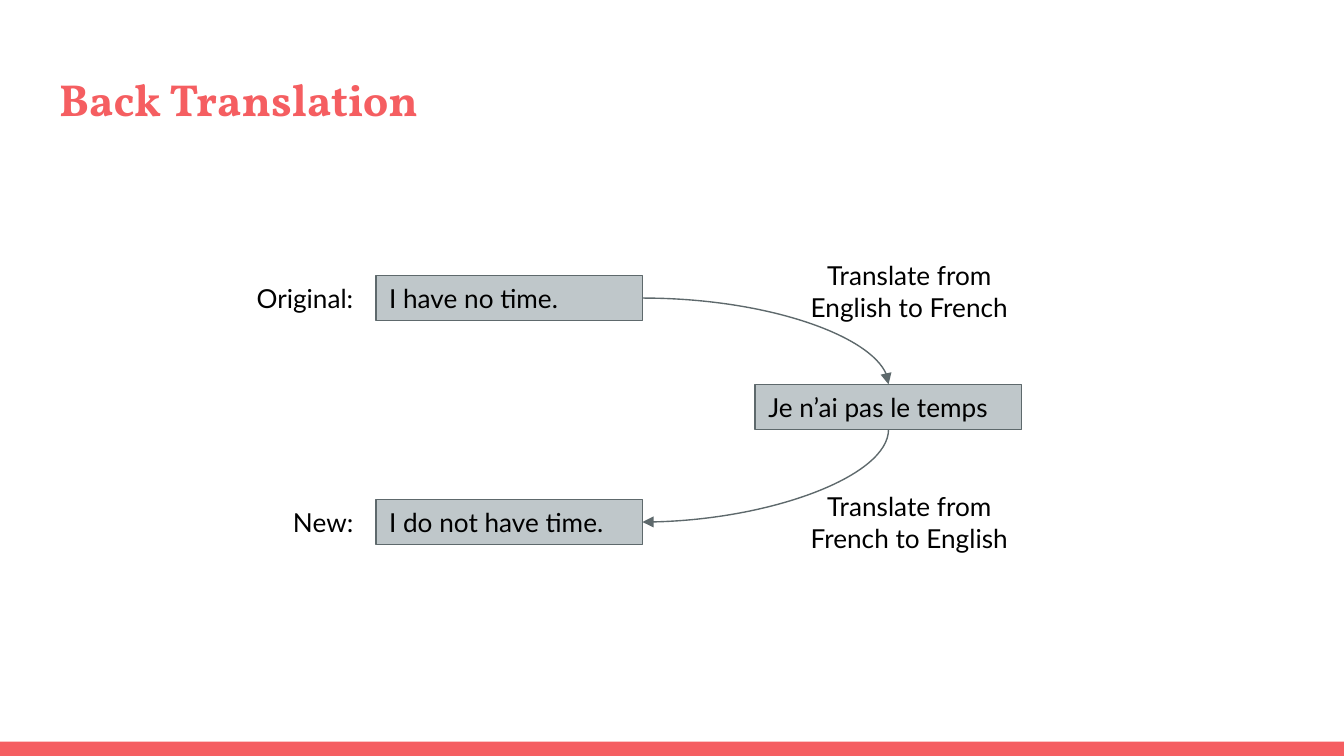
from dataclasses import dataclass

from lxml.etree import SubElement
from pptx import Presentation
from pptx.dml.color import RGBColor as RGB
from pptx.enum.shapes import MSO_CONNECTOR as Link, MSO_SHAPE as Shape
from pptx.enum.text import MSO_ANCHOR as Anchor, PP_ALIGN as Align
from pptx.oxml.ns import qn
from pptx.util import Pt


@dataclass(frozen=True)
class Theme:
    accent: RGB = RGB(0xF5, 0x5E, 0x61)
    fill: RGB = RGB(0xBF, 0xC7, 0xCA)
    line: RGB = RGB(0x5E, 0x69, 0x6C)
    ink: RGB = RGB(0, 0, 0)
    heading_font: str = "Vollkorn"
    body_font: str = "Lato"
    heading_size: int = 24
    body_size: int = 14
    line_width: float = 0.75
    inset: float = 7.2


theme = Theme()


def write(shape, text, align, anchor=Anchor.MIDDLE, heading=False):
    frame = shape.text_frame
    frame.text = text
    frame.word_wrap = True
    frame.vertical_anchor = anchor
    frame.margin_left = frame.margin_right = Pt(theme.inset)
    frame.margin_top = frame.margin_bottom = Pt(theme.inset)
    paragraph = frame.paragraphs[0]
    paragraph.alignment = align
    font = paragraph.runs[0].font
    font.name = theme.heading_font if heading else theme.body_font
    font.size = Pt(theme.heading_size if heading else theme.body_size)
    font.color.rgb = theme.accent if heading else theme.ink
    font.bold = heading


def add_block(left, top, width, height, fill):
    block = slide.shapes.add_shape(Shape.RECTANGLE, Pt(left), Pt(top), Pt(width), Pt(height))
    block.shadow.inherit = False
    block.fill.solid()
    block.fill.fore_color.rgb = fill
    block.line.fill.background()
    return block


deck = Presentation()
deck.slide_width, deck.slide_height = Pt(720), Pt(405)
slide = deck.slides.add_slide(deck.slide_layouts[5])

add_block(0, 397.3, 720, 7.7, theme.accent)

title = slide.shapes.title
title.left, title.top, title.width, title.height = Pt(24.5), Pt(31), Pt(671), Pt(49)
write(title, "Back Translation", Align.LEFT, Anchor.TOP, heading=True)

box_width, box_height = 142.8, 24.2
sentences = []
for text, left, middle in [
    ("I have no time.", 201.4, 159.7),
    ("Je n’ai pas le temps", 404.6, 218),
    ("I do not have time.", 201.4, 279.7),
]:
    sentence = add_block(left, middle - box_height / 2, box_width, box_height, theme.fill)
    sentence.line.color.rgb = theme.line
    sentence.line.width = Pt(theme.line_width)
    write(sentence, text, Align.LEFT)
    sentences.append(sentence)
original, french, new = sentences

top_side, bottom_side, right_side = 0, 2, 3
for source, source_side, target, target_side, turned in [
    (original, right_side, french, top_side, False),
    (french, bottom_side, new, right_side, True),
]:
    arrow = slide.shapes.add_connector(Link.CURVE, 0, 0, 0, 0)
    arrow.begin_connect(source, source_side)
    arrow.end_connect(target, target_side)
    arrow.line.color.rgb = theme.line
    arrow.line.width = Pt(theme.line_width)
    properties = arrow._element.spPr
    properties.find(qn("a:prstGeom")).set("prst", "curvedConnector2")
    SubElement(arrow.line._get_or_add_ln(), qn("a:tailEnd"), type="triangle")
    SubElement(properties, qn("a:effectLst"))
    if turned:
        center_x = arrow.left + arrow.width // 2
        center_y = arrow.top + arrow.height // 2
        arrow.width, arrow.height = arrow.height, arrow.width
        arrow.left = center_x - arrow.width // 2
        arrow.top = center_y - arrow.height // 2
        frame = properties.find(qn("a:xfrm"))
        frame.flipH = False
        frame.set("rot", str(90 * 60000))

label_height = 21
for text, left, middle, width, align in [
    ("Original:", 126, 159.7, 70.4, Align.RIGHT),
    ("New:", 126, 279.7, 70.4, Align.RIGHT),
    ("Translate from English to French", 418, 156, 138.4, Align.CENTER),
    ("Translate from French to English", 418, 279.7, 138.4, Align.CENTER),
]:
    label = slide.shapes.add_textbox(
        Pt(left), Pt(middle - label_height / 2), Pt(width), Pt(label_height))
    write(label, text, align)

deck.save("out.pptx")
